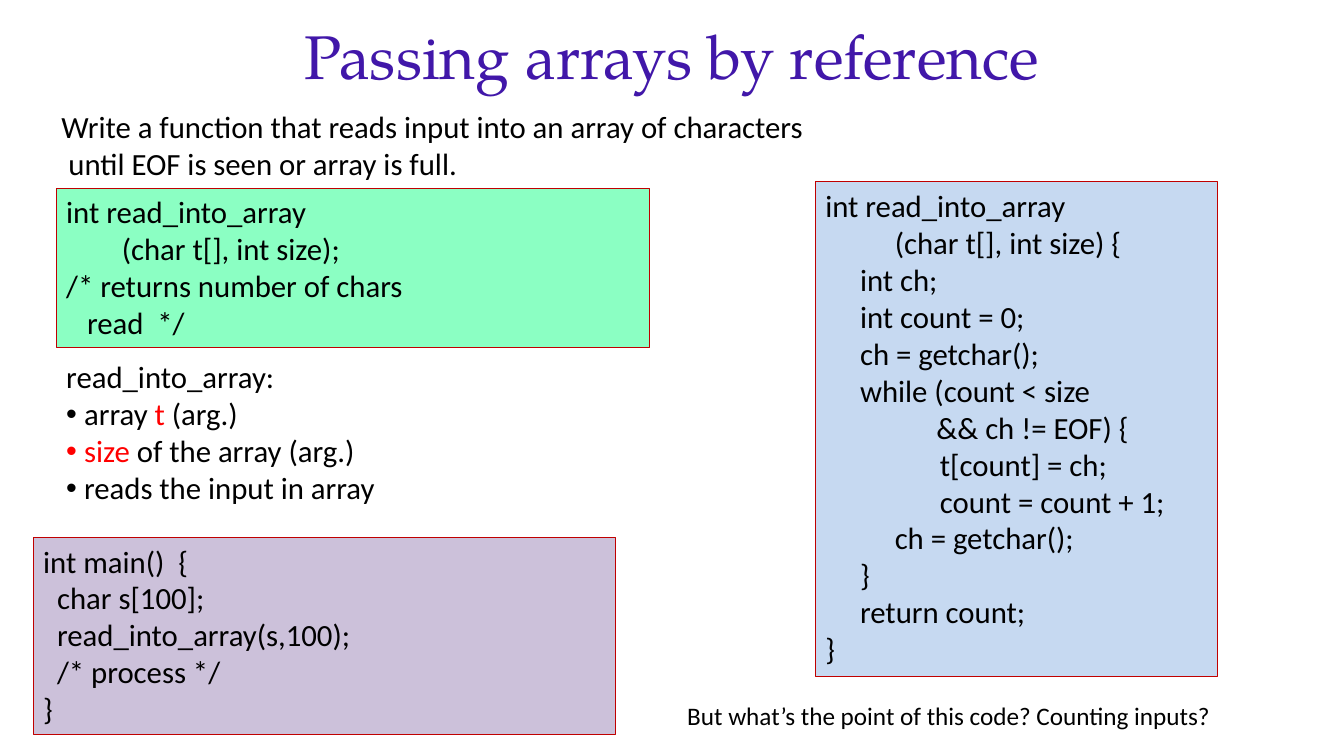
from lxml import etree
from pptx import Presentation
from pptx.dml.color import RGBColor
from pptx.enum.shapes import MSO_SHAPE as SHAPE
from pptx.enum.text import MSO_ANCHOR as ANCHOR, PP_ALIGN as ALIGN
from pptx.oxml.ns import qn
from pptx.util import Cm, Pt

SPACE = 0.175  # width in cm of one code column at 22 pt
BULLET_GAP = 0.45


def rgb(value):
    """Turn a hex string into a colour."""
    return RGBColor.from_string(value)


def add_lines(sp, lines, size=22, font="Calibri", color="000000"):
    """Write (columns of indent, text) lines into a shape."""
    tf = sp.text_frame
    tf.word_wrap = True
    for i, (columns, text) in enumerate(lines):
        p = tf.paragraphs[0] if i == 0 else tf.add_paragraph()
        p.text = text
        p.alignment = ALIGN.LEFT
        if columns:
            p._p.get_or_add_pPr().set("marL", str(Cm(columns * SPACE)))
        for r in p.runs:
            r.font.size = Pt(size)
            r.font.name = font
            r.font.color.rgb = rgb(color)
    return tf


prs = Presentation()
prs.slide_width, prs.slide_height = Cm(33.87), Cm(19.05)
s = prs.slides.add_slide(prs.slide_layouts[6])

# Title
title = s.shapes.add_textbox(Cm(1.7), Cm(-0.2), Cm(30.48), Cm(3.18))
tf = add_lines(title, [(0, "Passing arrays by reference")], 44, "TeX Gyre Pagella", "4117A9")
tf.vertical_anchor = ANCHOR.MIDDLE
tf.paragraphs[0].alignment = ALIGN.CENTER

# Task and closing question
task = s.shapes.add_textbox(Cm(1.3), Cm(2.59), Cm(19.86), Cm(2.13))
add_lines(task, [
    (0, "Write a function that reads input into an array of characters"),
    (1, "until EOF is seen or array is full."),
])
question = s.shapes.add_textbox(Cm(17.07), Cm(17.53), Cm(14.43), Cm(1.02))
add_lines(question, [(0, "But what’s the point of this code? Counting inputs?")], 18)

# Code boxes
prototype = [
    (0, "int read_into_array"),
    (8, "(char t[], int size);"),
    (0, "/* returns number of chars"),
    (3, "read  */"),
]
main = [
    (0, "int main()  {"),
    (2, "char s[100];"),
    (2, "read_into_array(s,100);"),
    (2, "/* process */"),
    (0, "}"),
]
definition = [
    (0, "int read_into_array"),
    (10, "(char t[], int size) {"),
    (5, "int ch;"),
    (5, "int count = 0;"),
    (5, "ch = getchar();"),
    (5, "while (count < size"),
    (16, "&& ch != EOF) {"),
    (16.5, "t[count] = ch;"),
    (16.5, "count = count + 1;"),
    (10, "ch = getchar();"),
    (5, "}"),
    (5, "return count;"),
    (0, "}"),
]
code_boxes = [
    (1.42, 4.74, 14.96, 4.03, "8BFFC3", prototype),
    (0.84, 13.54, 14.68, 4.97, "CCC1DA", main),
    (20.55, 4.58, 10.13, 12.47, "C6D9F1", definition),
]
for left, top, width, height, fill, code in code_boxes:
    sp = s.shapes.add_shape(SHAPE.RECTANGLE, Cm(left), Cm(top), Cm(width), Cm(height))
    sp.shadow.inherit = False
    sp.fill.solid()
    sp.fill.fore_color.rgb = rgb(fill)
    sp.line.color.rgb = rgb("C00000")
    sp.line.width = Pt(0.75)
    add_lines(sp, code).vertical_anchor = ANCHOR.TOP

# Description: heading, then bullets whose argument names are red
description = s.shapes.add_textbox(Cm(1.42), Cm(8.9), Cm(14.96), Cm(4.03))
tf = add_lines(description, [(0, "read_into_array:")])
bullets = [
    [("array ", "000000"), ("t", "FF0000"), (" (arg.)", "000000")],
    [("size", "FF0000"), (" of the array (arg.)", "000000")],
    [("reads the input in array", "000000")],
]
for parts in bullets:
    p = tf.add_paragraph()
    pPr = p._p.get_or_add_pPr()
    pPr.set("marL", str(Cm(BULLET_GAP)))
    pPr.set("indent", str(-Cm(BULLET_GAP)))
    etree.SubElement(pPr, qn("a:buFont")).set("typeface", "Arial")
    etree.SubElement(pPr, qn("a:buChar")).set("char", "•")
    for text, color in parts:
        r = p.add_run()
        r.text = text
        r.font.size = Pt(22)
        r.font.name = "Calibri"
        r.font.color.rgb = rgb(color)

prs.save("out.pptx")
